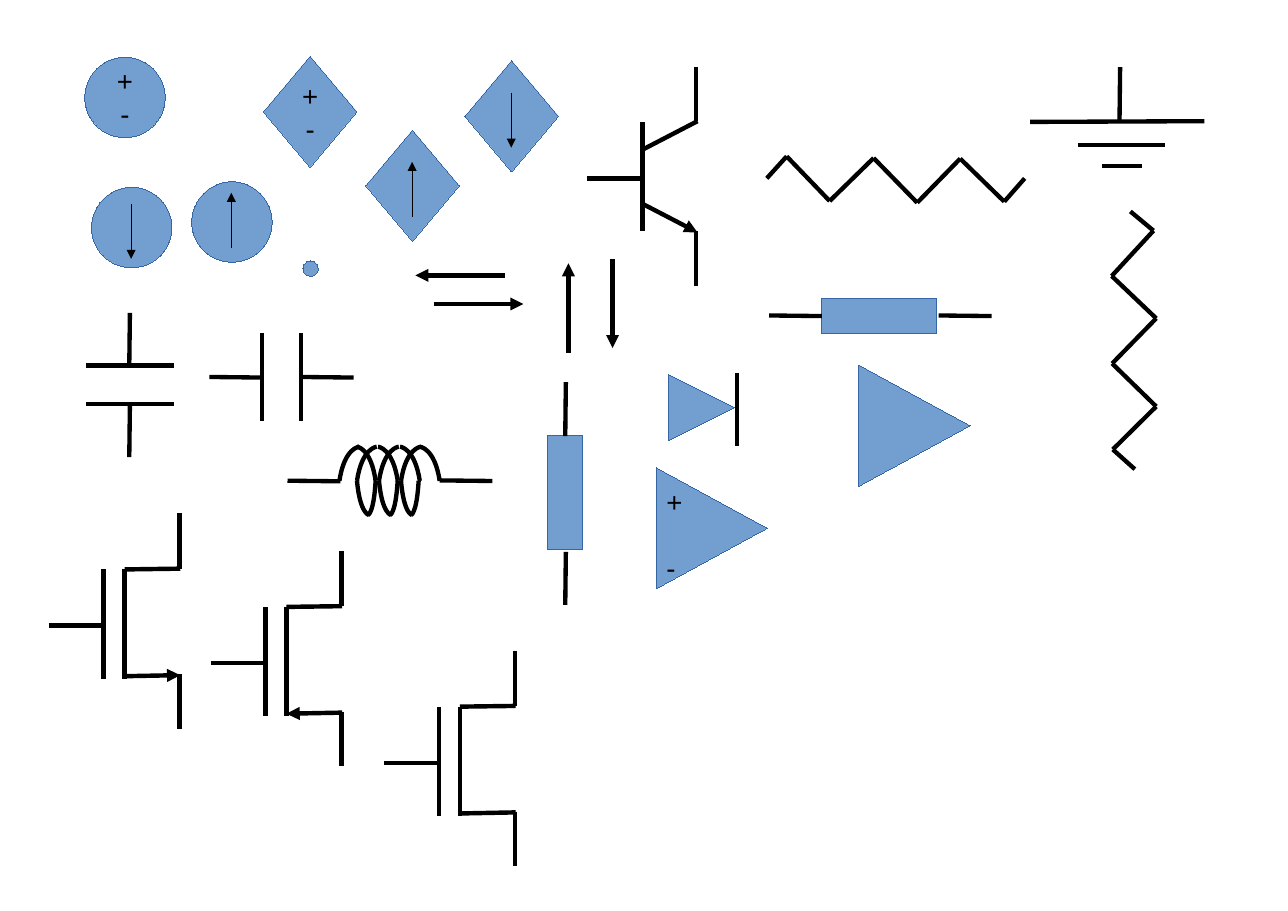
"""Build a sheet of electronic circuit symbols on one slide."""
from itertools import pairwise

from lxml import etree
from pptx import Presentation
from pptx.dml.color import RGBColor
from pptx.enum.shapes import MSO_CONNECTOR, MSO_SHAPE
from pptx.enum.text import MSO_ANCHOR, PP_ALIGN
from pptx.oxml.ns import qn
from pptx.util import Pt

STRAIGHT = MSO_CONNECTOR.STRAIGHT
CIRCLE, DIAMOND = MSO_SHAPE.OVAL, MSO_SHAPE.DIAMOND
BOX, TRIANGLE = MSO_SHAPE.RECTANGLE, MSO_SHAPE.ISOSCELES_TRIANGLE
MIDDLE, TOP = MSO_ANCHOR.MIDDLE, MSO_ANCHOR.TOP
CENTER, LEFT = PP_ALIGN.CENTER, PP_ALIGN.LEFT

BLACK = RGBColor(0x00, 0x00, 0x00)
BODY_FILL = RGBColor(0x72, 0x9F, 0xCF)
BODY_EDGE = RGBColor(0x34, 0x65, 0xA4)

PAGE = (841.68, 595.44)
FONT, FONT_SIZE = "Arial", 18
POLARITY = ("+", "-")
HAIRLINE, WIRE, TRANSISTOR_WIRE = 0, 2.83, 2.89

ROUND = (52.6, 52.6)
RHOMBUS = (61.2, 72.7)
AMPLIFIER = (79.2, 72.7)
RESISTOR = (23, 74.9)

POLARITY_SOURCES = [(DIAMOND, 172.1, 36.7, *RHOMBUS), (CIRCLE, 55.4, 37.4, *ROUND)]

CURRENT_SOURCES = [
    ((CIRCLE, 59.8, 122.4, *ROUND, 0), (85.7, 133.2, 85.7, 169.2)),
    ((DIAMOND, 303.8, 39.6, *RHOMBUS, 0), (334.1, 60.5, 334.1, 96.5)),
    ((CIRCLE, 125.3, 118.8, *ROUND, 0), (151.2, 162, 151.2, 126)),
    ((DIAMOND, 239, 85, *RHOMBUS, 0), (269.3, 141.8, 269.3, 105.8)),
]

BIPOLAR_WIRES = [
    (419.8, 79.9, 419.8, 151.2), (455.8, 79.2, 419.8, 97.9),
    (455, 43.9, 455, 79.2), (455, 151.2, 455, 187.2),
    (383.8, 116.6, 418.3, 116.6),
]
BIPOLAR_EMITTER = (419.8, 133.2, 455.8, 151.9)

CAPACITORS = [
    [(56.2, 239, 113.8, 239), (56.2, 264.2, 113.8, 264.2),
     (84.5, 298.8, 84.9, 264.2), (84.5, 239, 84.9, 204.5)],
    [(171.4, 275, 171.4, 217.4), (196.6, 275, 196.6, 217.4),
     (231.1, 246.8, 196.6, 246.4), (171.4, 246.8, 136.8, 246.4)],
]
GROUND = [
    (787, 79.2, 673.2, 79.7), (704.2, 95, 761, 95),
    (720, 108.7, 746.6, 108.7), (731.6, 78.5, 732, 43.9),
]
ZIGZAGS = [
    [(501.1, 116.6), (514.1, 102.2), (542.2, 131.4), (570.9, 103.3),
     (599.4, 132.5), (627.5, 103.7), (656.3, 131.8), (669.6, 116.6)],
    [(738.7, 138.2), (753.8, 150.8), (726.5, 180.4), (755.6, 208.1),
     (726.8, 237.6), (755.6, 265.7), (727.2, 293.8), (741.6, 306.7)],
]
BOX_RESISTORS = [
    ((BOX, 357.8, 284.4, *RESISTOR, 0),
     [(369.4, 285.1, 369.8, 249.8), (369.4, 395.3, 369.8, 360.7)]),
    ((BOX, 563, 169.2, *RESISTOR, 270),
     [(537.1, 206.6, 502.6, 206.2), (648, 206.6, 613.4, 206.2)]),
]

COIL_LEADS = [(222.5, 314.6, 187.9, 314.2), (321.8, 314.4, 287.3, 314)]
COIL_AXIS, COIL_TOP, COIL_BOTTOM = 314.3, 292, 336.6
COIL_UPPER = [
    (245.5, 233.3), (221.8, 234.7), (233.3, 246.2), (259.9, 247),
    (247.7, 260.6), (274.3, 261.4), (262.1, 275), (287.3, 274.3),
]
COIL_LOWER = [
    (245.5, 240.5), (233.3, 241.2), (259.9, 254.9),
    (247.7, 255.6), (273.6, 268.6), (262.1, 269.3),
]

NODE = (CIRCLE, 198, 170.6, 10.1, 10.1)
DIRECTION_ARROWS = [
    (283.7, 198.7, 342, 198.7), (371.5, 230.4, 371.5, 172.1),
    (400.3, 169.2, 400.3, 227.5), (329.8, 180, 271.4, 180),
]
DIODE = (TRIANGLE, 437, 244.8, 43.2, 43.2, 90)
DIODE_BAR = (481.7, 244.1, 481.7, 291.6)
OP_AMP = (TRIANGLE, 425.5, 308.9, *AMPLIFIER, 90)
OP_AMP_INPUTS = (428.4, 313.2, 24.5, 67.7)
BUFFER = (TRIANGLE, 558, 241.9, *AMPLIFIER, 90)

MOSFET_WIRES = [
    (0, 0, 0, 71.3), (36.4, -0.5, 0, 0), (36, -36.7, 36, -0.5),
    (36, 68.6, 36, 104), (-49.5, 36.7, -15, 36.7), (-13.7, 0, -13.7, 71.3),
]
MOSFET_SOURCE_IN = (36.4, 69.1, 0, 69.8)
MOSFET_SOURCE_OUT = (0, 69.8, 36.4, 69.1)
MOSFETS = [
    (81.4, 372.2, MOSFET_SOURCE_OUT, True),
    (187.2, 396.7, MOSFET_SOURCE_IN, True),
    (300.6, 461.9, MOSFET_SOURCE_IN, False),
]


def points(values):
    return [Pt(value) for value in values]


def set_line(line, color, weight):
    line.color.rgb = color
    outline = line._get_or_add_ln()
    outline.set("w", str(Pt(weight)))
    return outline


def add_wire(shapes, ends, weight=WIRE, arrow=False):
    wire = shapes.add_connector(STRAIGHT, *points(ends))
    outline = set_line(wire.line, BLACK, weight)
    if arrow:
        etree.SubElement(outline, qn("a:tailEnd"), type="triangle")
    etree.SubElement(wire._element.spPr, qn("a:effectLst"))


def add_wires(shapes, wires, weight=WIRE):
    for ends in wires:
        add_wire(shapes, ends, weight)


def add_body(shapes, kind, x, y, width, height, rotation=0):
    body = shapes.add_shape(kind, *points((x, y, width, height)))
    body.rotation = rotation
    body.shadow.inherit = False
    body.fill.solid()
    body.fill.fore_color.rgb = BODY_FILL
    set_line(body.line, BODY_EDGE, HAIRLINE)
    return body


def write_polarity(frame, alignment, anchor, gap=0):
    frame.text = "\n".join(POLARITY)
    frame.word_wrap = False
    frame.vertical_anchor = anchor
    for paragraph in frame.paragraphs:
        paragraph.alignment = alignment
        font = paragraph.runs[0].font
        font.name, font.size, font.color.rgb = FONT, Pt(FONT_SIZE), BLACK
    frame.paragraphs[-1].space_before = Pt(gap)


def add_coil_arc(shapes, start_x, end_x, end_y):
    control = points((start_x + 0.25 * (end_x - start_x),
                      COIL_AXIS + 0.97 * (end_y - COIL_AXIS)))
    end = points((end_x, end_y))
    builder = shapes.build_freeform(Pt(start_x), Pt(COIL_AXIS))
    builder.add_line_segments([control, end, end], close=False)
    arc = builder.convert_to_shape()
    segments = list(arc._element.iter(qn("a:lnTo")))
    curve = etree.SubElement(segments[0].getparent(), qn("a:cubicBezTo"))
    for segment in segments:
        curve.append(segment[0])
        segment.getparent().remove(segment)
    arc.shadow.inherit = False
    arc.fill.background()
    set_line(arc.line, BLACK, WIRE)


def main():
    deck = Presentation()
    deck.slide_width, deck.slide_height = points(PAGE)
    sheet = deck.slides.add_slide(deck.slide_layouts[6]).shapes

    def symbol():
        return sheet.add_group_shape().shapes

    bipolar = symbol()
    add_wires(bipolar, BIPOLAR_WIRES, TRANSISTOR_WIRE)
    add_wire(bipolar, BIPOLAR_EMITTER, TRANSISTOR_WIRE, arrow=True)

    for source in POLARITY_SOURCES:
        write_polarity(add_body(sheet, *source).text_frame, CENTER, MIDDLE)
    for body, current in CURRENT_SOURCES:
        source = symbol()
        add_body(source, *body)
        add_wire(source, current, HAIRLINE, arrow=True)

    for wires in [*CAPACITORS, GROUND]:
        add_wires(symbol(), wires)
    for corners in ZIGZAGS:
        add_wires(symbol(), [(*a, *b) for a, b in pairwise(corners)])
    for body, leads in BOX_RESISTORS:
        resistor = symbol()
        add_body(resistor, *body)
        add_wires(resistor, leads)

    coil = symbol()
    for arcs, end_y in ((COIL_UPPER, COIL_TOP), (COIL_LOWER, COIL_BOTTOM)):
        for start_x, end_x in arcs:
            add_coil_arc(coil, start_x, end_x, end_y)
    add_wires(coil, COIL_LEADS)

    add_body(sheet, *NODE)
    for ends in DIRECTION_ARROWS:
        add_wire(sheet, ends, arrow=True)

    diode = symbol()
    add_body(diode, *DIODE)
    add_wire(diode, DIODE_BAR)

    op_amp = symbol()
    add_body(op_amp, *OP_AMP)
    inputs = op_amp.add_textbox(*points(OP_AMP_INPUTS))
    write_polarity(inputs.text_frame, LEFT, TOP, gap=22)
    add_body(sheet, *BUFFER)

    for x, y, source, arrow in MOSFETS:
        mosfet = symbol()
        *wires, source_wire = [
            (x + x1, y + y1, x + x2, y + y2)
            for x1, y1, x2, y2 in [*MOSFET_WIRES, source]
        ]
        add_wires(mosfet, wires, TRANSISTOR_WIRE)
        add_wire(mosfet, source_wire, TRANSISTOR_WIRE, arrow)

    deck.save("out.pptx")


if __name__ == "__main__":
    main()
